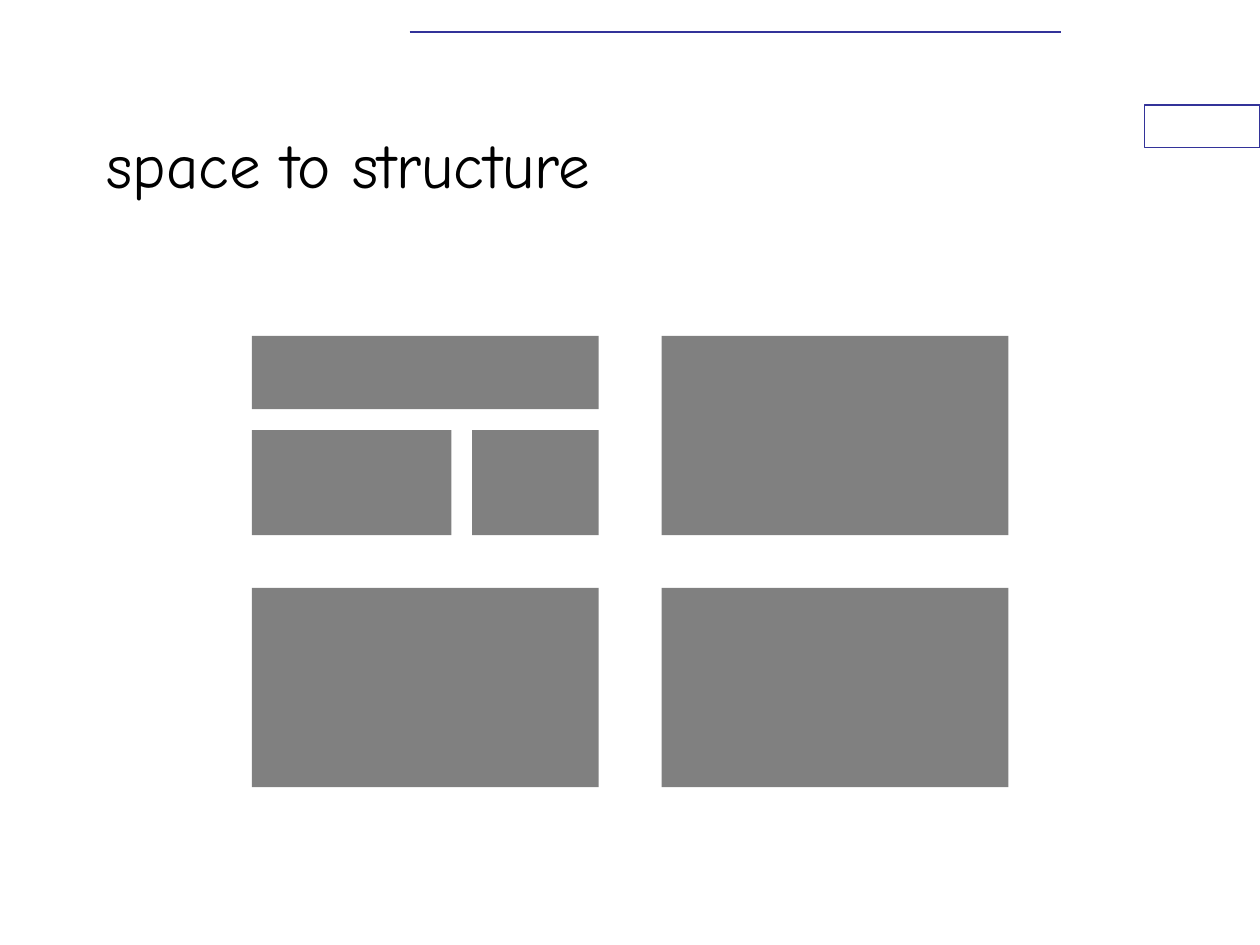
from lxml.etree import SubElement
from pptx import Presentation
from pptx.dml.color import RGBColor
from pptx.enum.shapes import MSO_CONNECTOR, MSO_SHAPE
from pptx.enum.text import MSO_ANCHOR
from pptx.oxml.ns import qn
from pptx.util import Cm, Pt

BLACK = RGBColor(0x00, 0x00, 0x00)
WHITE = RGBColor(0xFF, 0xFF, 0xFF)
GREY = RGBColor(0x80, 0x80, 0x80)
INDIGO = RGBColor(0x33, 0x33, 0x99)

# Lengths in centimetres
COLUMNS = (5.08, 13.34)
ROWS = (6.77, 11.85)
BLOCK_WIDTH, BLOCK_HEIGHT = 6.99, 4.02
GAP = 0.42
HEADER_HEIGHT = 1.48
MAIN_WIDTH = 4.02


def add_rectangle(slide, left, top, width, height, fill, line=None):
    shape = slide.shapes.add_shape(
        MSO_SHAPE.RECTANGLE, Cm(left), Cm(top), Cm(width), Cm(height))
    shape.shadow.inherit = False
    shape.fill.solid()
    shape.fill.fore_color.rgb = fill
    if line is None:
        shape.line.fill.background()
    else:
        shape.line.color.rgb = line
        shape.line.width = Pt(0.75)


def add_rule(slide, left, right, top):
    """Draw a thin horizontal line."""
    rule = slide.shapes.add_connector(
        MSO_CONNECTOR.STRAIGHT, Cm(left), Cm(top), Cm(right), Cm(top))
    rule.line.color.rgb = INDIGO
    rule.line.width = Pt(1)
    SubElement(rule._element.spPr, qn("a:effectLst"))


def add_title(slide, text):
    box = slide.shapes.add_textbox(Cm(1.9), Cm(1.7), Cm(19.05), Cm(3.18))
    frame = box.text_frame
    frame.word_wrap = True
    frame.vertical_anchor = MSO_ANCHOR.MIDDLE
    run = frame.paragraphs[0].add_run()
    run.text = text
    run.font.name = "Comic Neue"
    run.font.size = Pt(36)
    run.font.color.rgb = BLACK


def add_split_block(slide, left, top):
    """Fill one block with a header above a main and a side part."""
    lower_top = top + HEADER_HEIGHT + GAP
    lower_height = BLOCK_HEIGHT - HEADER_HEIGHT - GAP
    side_offset = MAIN_WIDTH + GAP
    add_rectangle(slide, left, top, BLOCK_WIDTH, HEADER_HEIGHT, GREY)
    add_rectangle(slide, left, lower_top, MAIN_WIDTH, lower_height, GREY)
    add_rectangle(slide, left + side_offset, lower_top,
                  BLOCK_WIDTH - side_offset, lower_height, GREY)


def add_block_grid(slide):
    for top in ROWS:
        for left in COLUMNS:
            if (left, top) == (COLUMNS[0], ROWS[0]):
                add_split_block(slide, left, top)
            else:
                add_rectangle(slide, left, top, BLOCK_WIDTH, BLOCK_HEIGHT, GREY)


def main():
    presentation = Presentation()
    presentation.slide_width = Cm(25.4)
    presentation.slide_height = Cm(19.05)
    slide = presentation.slides.add_slide(presentation.slide_layouts[6])
    add_rectangle(slide, 23.07, 2.12, 2.33, 0.85, WHITE, INDIGO)
    add_rule(slide, 8.26, 21.38, 0.64)
    add_title(slide, "space to structure")
    add_block_grid(slide)
    presentation.save("out.pptx")


if __name__ == "__main__":
    main()
